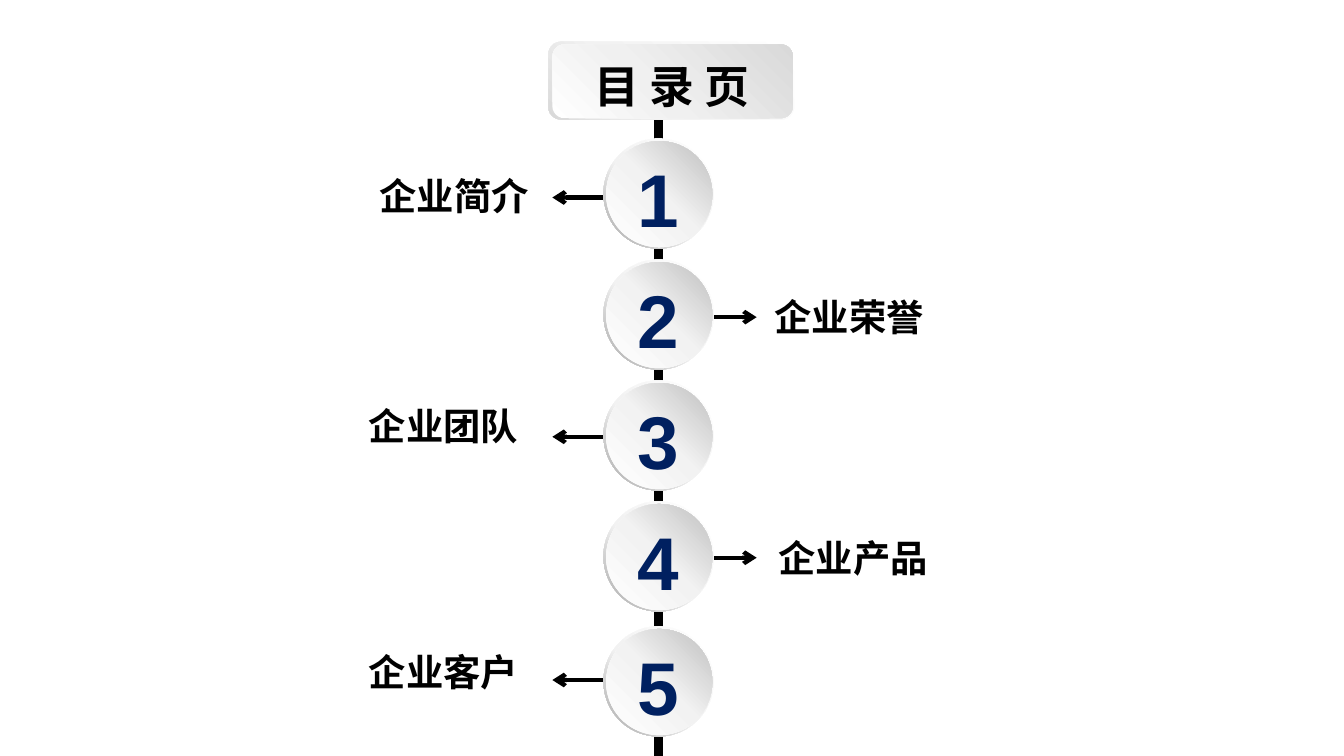
"""Build a contents slide with five numbered discs along a vertical spine."""
from copy import deepcopy

from pptx import Presentation
from pptx.dml.color import RGBColor
from pptx.enum.shapes import MSO_CONNECTOR, MSO_SHAPE
from pptx.enum.text import MSO_AUTO_SIZE, PP_ALIGN
from pptx.oxml.ns import qn
from pptx.util import Inches, Pt
from lxml import etree

STRAIGHT = MSO_CONNECTOR.STRAIGHT
DONUT, OVAL, ROUNDED = MSO_SHAPE.DONUT, MSO_SHAPE.OVAL, MSO_SHAPE.ROUNDED_RECTANGLE
CENTER = PP_ALIGN.CENTER
FIT_SHAPE = MSO_AUTO_SIZE.SHAPE_TO_FIT_TEXT

SLIDE_WIDTH = 10
SLIDE_HEIGHT = SLIDE_WIDTH * 9 / 16
FONT, BLACK, NAVY = "Arial", "000000", "002060"
TITLE = "目 录 页"
# label, label left, label top, disc top, arrow height, arrow tip
SECTIONS = [
    ("企业简介", 2.4, 1.24, 1.03, 1.47, 4.11),
    ("企业荣誉", 5.34, 2.14, 1.93, 2.36, 5.63),
    ("企业团队", 2.32, 2.95, 2.83, 3.25, 4.11),
    ("企业产品", 5.37, 3.93, 3.73, 4.15, 5.63),
    ("企业客户", 2.32, 4.78, 4.66, 5.06, 4.11),
]
DOWN_LEFT, UP_RIGHT = 225, 45
RIM = [(0, "FFFFFF"), (0.55, "F2F2F2"), (1, "A6A6A6")]
FACE = [(0, "FFFFFF"), (0.51, "F2F2F2"), (1, "BFBFBF")]
FRAME = [(0, "FFFFFF"), (0.62, "F2F2F2"), (1, "D9D9D9")]
PLATE = [(0, "FFFFFF"), (0.42, "F0F0F0"), (1, "D9D9D9")]


def color(value):
    return RGBColor.from_string(value)


def add_line(shapes, start, end, width, arrow=False):
    line = shapes.add_connector(STRAIGHT, *map(Inches, start + end))
    line.line.color.rgb = color(BLACK)
    line.line.width = Pt(width)
    if arrow:
        outline = line._element.spPr.find(qn("a:ln"))
        etree.SubElement(outline, qn("a:tailEnd"), type="arrow")
    etree.SubElement(line._element.spPr, qn("a:effectLst"))


def add_gradient_shape(shapes, preset, box, stops, angle):
    shape = shapes.add_shape(preset, *map(Inches, box))
    shape.shadow.inherit = False
    shape.line.fill.background()
    shape.fill.gradient()
    shape.fill.gradient_angle = angle
    stop_list = shape._element.spPr.find(".//" + qn("a:gsLst"))
    stop_list.append(deepcopy(stop_list[0]))
    for stop, (position, value) in zip(shape.fill.gradient_stops, stops):
        stop.position = position
        stop.color.rgb = color(value)
    return shape


def add_text(shapes, text, box, size, value, wrap=True, inset=None):
    textbox = shapes.add_textbox(*map(Inches, box))
    frame = textbox.text_frame
    frame.word_wrap = wrap
    frame.auto_size = FIT_SHAPE
    if inset is not None:
        frame.margin_left = frame.margin_right = Inches(inset)
        frame.margin_top = frame.margin_bottom = Inches(inset)
    paragraph = frame.paragraphs[0]
    paragraph.alignment = CENTER
    run = paragraph.add_run()
    run.text = text
    run.font.name = FONT
    run.font.size = Pt(size)
    run.font.bold = True
    run.font.color.rgb = color(value)


def add_disc(shapes, number, top):
    disc = shapes.add_group_shape().shapes
    rim = add_gradient_shape(disc, DONUT, (4.49, top, 0.82, 0.82), RIM, DOWN_LEFT)
    rim.adjustments[0] = 0.05
    add_gradient_shape(disc, OVAL, (4.51, top + 0.02, 0.79, 0.79), FACE, UP_RIGHT)
    add_text(disc, str(number), (4.64, top + 0.06, 0.51, 0.77), 40, NAVY, wrap=False)


def main():
    presentation = Presentation()
    presentation.slide_width = Inches(SLIDE_WIDTH)
    presentation.slide_height = Inches(SLIDE_HEIGHT)
    shapes = presentation.slides.add_slide(presentation.slide_layouts[6]).shapes

    for *_, height, tip in SECTIONS:
        add_line(shapes, (5, height), (tip, height), 2.25, arrow=True)
    add_line(shapes, (4.9, 0.65), (4.9, 5.96), 4.5)

    for number, (label, left, top, disc_top, *_) in enumerate(SECTIONS, 1):
        add_disc(shapes, number, disc_top)
        add_text(shapes, label, (left, top, 1.96, 0.44), 20, BLACK)

    banner = shapes.add_group_shape().shapes
    add_gradient_shape(banner, ROUNDED, (4.08, 0.31, 1.83, 0.58), FRAME, DOWN_LEFT)
    add_gradient_shape(banner, ROUNDED, (4.11, 0.33, 1.79, 0.55), PLATE, UP_RIGHT)
    add_text(banner, TITLE, (3.9, 0.44, 2.2, 0.4), 24, BLACK, inset=0)

    presentation.save("out.pptx")


if __name__ == "__main__":
    main()
